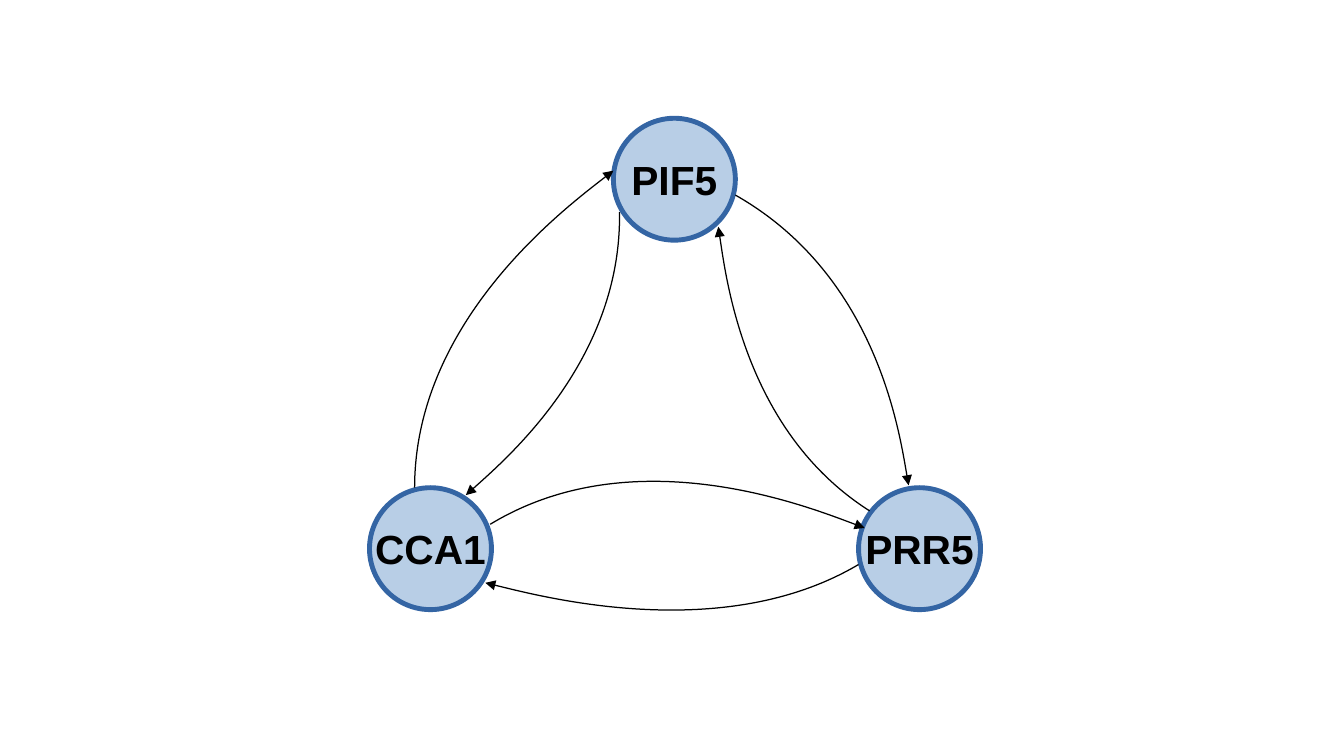
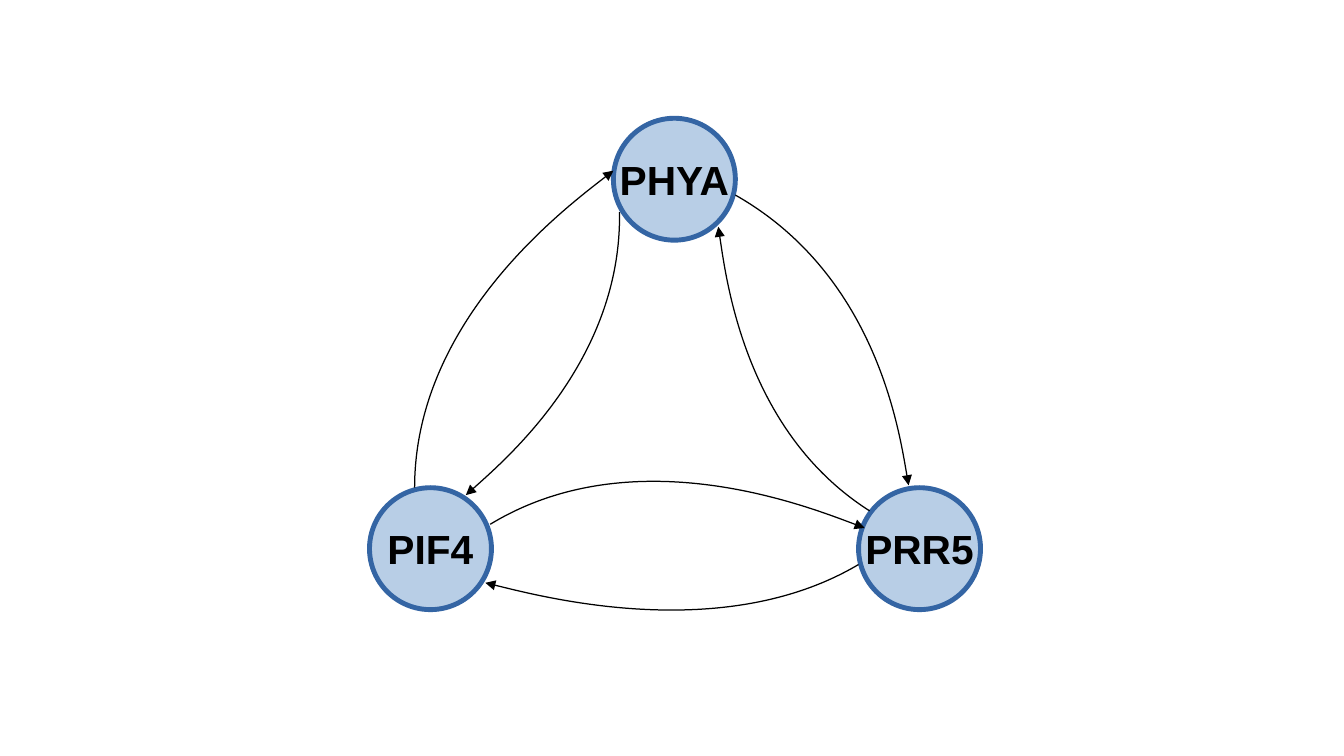
import pptx
import pptx.dml.color
import pptx.enum.shapes
import pptx.enum.text
import pptx.oxml
import pptx.oxml.ns
import pptx.util

Inches = pptx.util.Inches
Pt = pptx.util.Pt
qn = pptx.oxml.ns.qn

COLORS = {"node": "729FCF", "rim": "3465A4", "ink": "000000"}
NODE_SIZE = 1
NODE_PLACES = [(5.03, 0.97), (3.03, 4), (7.04, 4)]  # top, left, right
NETWORKS = [("PIF5", "CCA1", "PRR5"), ("PHYA", "PIF4", "PRR5")]
# Each arrow: start, bend (control point), end
ARROWS = [
    ((3.4, 4), (3.4, 2.6), (5.03, 1.4)),         # left to top
    ((5.08, 1.74), (5.1, 2.98), (3.82, 4.06)),   # top to left
    ((4.02, 4.3), (5.22, 3.57), (7.09, 4.33)),   # left to right
    ((7.04, 4.63), (5.91, 5.3), (3.98, 4.78)),   # right to left
    ((7.13, 4.19), (6.09, 3.53), (5.89, 1.86)),  # right to top
    ((6.03, 1.6), (7.21, 2.27), (7.45, 3.98)),   # top to right
]


def rgb(name):
    return pptx.dml.color.RGBColor.from_string(COLORS[name])


def apply(target, values):
    for name, value in values.items():
        setattr(target, name, value)


def curve_point(start, bend, end, t):
    """Point at t on the cubic curve whose second control point is its end."""
    weights = ((1 - t) ** 3, 3 * t * (1 - t) ** 2, 3 * t ** 2 * (1 - t) + t ** 3)
    return tuple(
        Inches(sum(w * value for w, value in zip(weights, axis)))
        for axis in zip(start, bend, end)
    )


class NetworkDeck:
    """Holds the style and the slide being drawn."""

    frame_format = {
        "margin_left": Inches(0.12), "margin_right": Inches(0.12),
        "margin_top": Inches(0.07), "margin_bottom": Inches(0.07),
        "word_wrap": False,
        "vertical_anchor": pptx.enum.text.MSO_ANCHOR.MIDDLE,
    }
    font_format = {"name": "Arial", "size": Pt(24), "bold": True}

    def __init__(self):
        self.deck = pptx.Presentation()
        apply(self.deck, {"slide_width": Inches(11.02), "slide_height": Inches(6.2)})
        self.page = None

    def add_page(self):
        self.page = self.deck.slides.add_slide(self.deck.slide_layouts[6])

    def outline(self, shape, color, width):
        shape.shadow.inherit = False
        shape.line.color.rgb = rgb(color)
        shape.line.width = Pt(width)

    def node(self, label, left, top):
        circle = self.page.shapes.add_shape(
            pptx.enum.shapes.MSO_SHAPE.OVAL,
            Inches(left), Inches(top), Inches(NODE_SIZE), Inches(NODE_SIZE),
        )
        circle.fill.solid()
        circle.fill.fore_color.rgb = rgb("node")
        fill_color = circle.element.spPr.find(qn("a:solidFill")).find(qn("a:srgbClr"))
        fill_color.append(pptx.oxml.parse_xml(
            f'<a:alpha {pptx.oxml.ns.nsdecls("a")} val="50000"/>'))
        self.outline(circle, "rim", 2.89)
        apply(circle.text_frame, self.frame_format)
        para = circle.text_frame.paragraphs[0]
        para.alignment = pptx.enum.text.PP_ALIGN.CENTER
        span = para.add_run()
        span.text = label
        apply(span.font, self.font_format)
        span.font.color.rgb = rgb("ink")

    def curved_arrow(self, start, bend, end, steps=40):
        """Size a freeform along the curve, then make its path one true curve."""
        points = [curve_point(start, bend, end, i / steps) for i in range(steps + 1)]
        builder = self.page.shapes.build_freeform(*points[0])
        builder.add_line_segments(points[1:], close=False)
        arrow = builder.convert_to_shape()
        arrow.fill.background()
        self.outline(arrow, "ink", 0)

        outline_path = next(arrow.element.iter(qn("a:path")))
        for segment in outline_path.findall(qn("a:lnTo")):
            outline_path.remove(segment)
        controls = "".join(
            f'<a:pt x="{Inches(x) - arrow.left}" y="{Inches(y) - arrow.top}"/>'
            for x, y in (bend, end, end)
        )
        namespace = pptx.oxml.ns.nsdecls("a")
        outline_path.append(pptx.oxml.parse_xml(
            f"<a:cubicBezTo {namespace}>{controls}</a:cubicBezTo>"))
        arrow.element.spPr.find(qn("a:ln")).append(pptx.oxml.parse_xml(
            f'<a:tailEnd {namespace} type="triangle"/>'))


def main():
    network = NetworkDeck()
    for labels in NETWORKS:
        network.add_page()
        for label, place in zip(labels, NODE_PLACES):
            network.node(label, *place)
        for arrow in ARROWS:
            network.curved_arrow(*arrow)
    network.deck.save("out.pptx")


if __name__ == "__main__":
    main()
